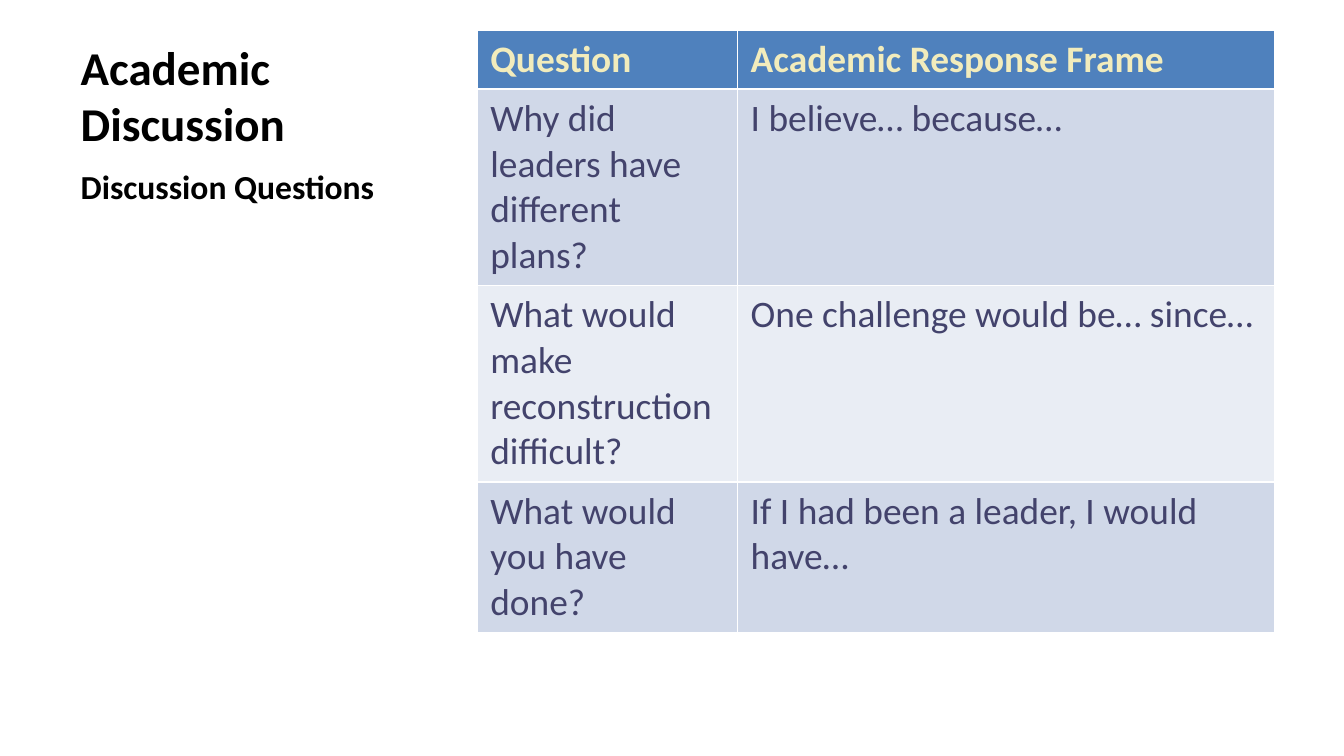
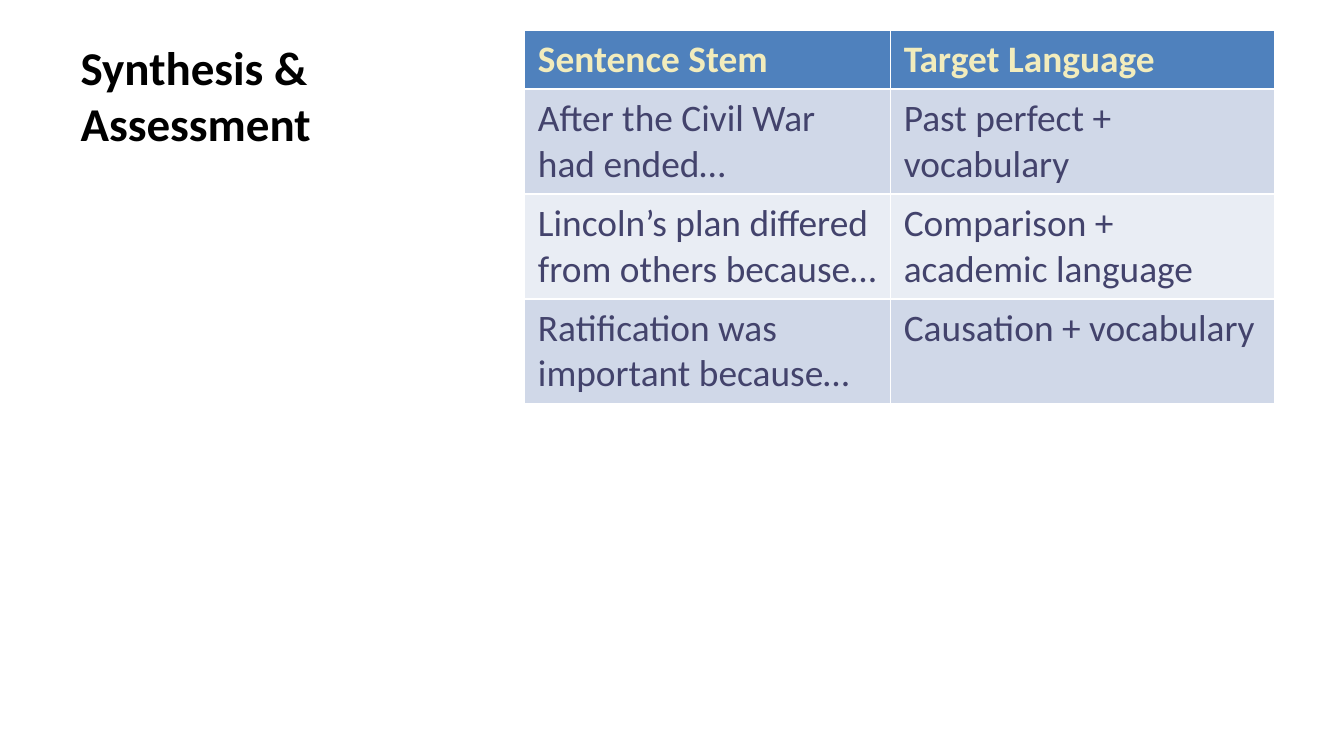
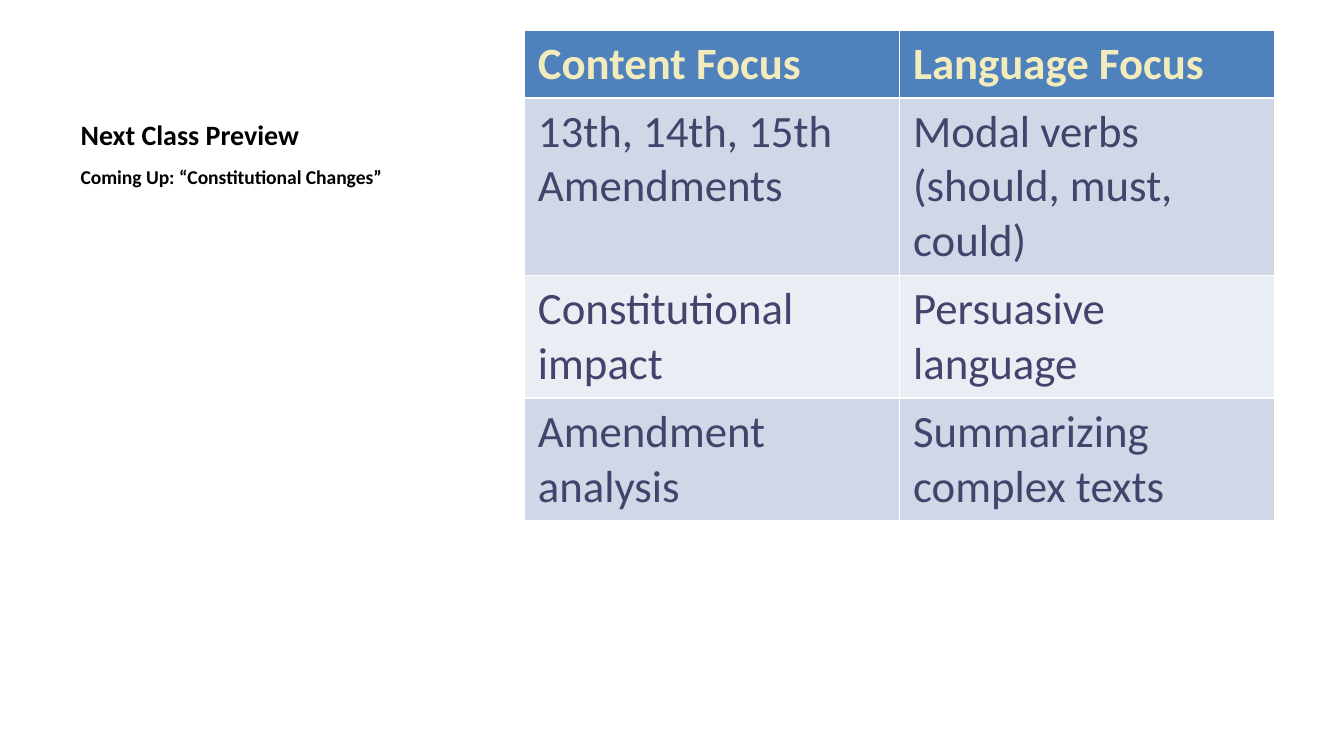
from lxml import etree
from pptx import Presentation
from pptx.dml.color import RGBColor
from pptx.enum import text
from pptx.oxml import ns
from pptx.util import Pt

# Shared style
FONT = "Calibri"
TITLE_COLOUR = "000000"
CELL_TEXT = "43436C"
HEADER_TEXT = "F2ECBC"
HEADER_FILL = "4F81BD"
BAND_FILLS = ["E9EDF4", "D0D8E8"]
BORDER = "FFFFFF"
LEFT, TOP = 36, 16
TABLE_RIGHT = 683
LINE_SPACING = 1.22
CELL_MARGINS = 7.2


def style_text(text_frame, size, colour, bold):
    for paragraph in text_frame.paragraphs:
        paragraph.space_before = Pt(0)
        for run in paragraph.runs:
            run.font.name = FONT
            run.font.size = Pt(size)
            run.font.bold = bold
            run.font.color.rgb = RGBColor.from_string(colour)


def add_borders(cell, colour):
    properties = cell._tc.get_or_add_tcPr()
    for position, side in enumerate(("a:lnL", "a:lnR", "a:lnT", "a:lnB")):
        line = etree.Element(ns.qn(side), w=str(Pt(1)))
        fill = etree.SubElement(line, ns.qn("a:solidFill"))
        etree.SubElement(fill, ns.qn("a:srgbClr"), val=colour)
        properties.insert(position, line)


# Content: "lines" is the number of text lines in each table row
lessons = [
    {"title": "Academic Discussion", "title_size": 25.2, "title_width": 188,
     "body": "Discussion Questions", "body_size": 18,
     "columns": [139.5, 288], "size": 20, "lines": [1, 4, 4, 3],
     "rows": [("Question", "Academic Response Frame"),
              ("Why did leaders have different plans?", "I believe… because…"),
              ("What would make reconstruction difficult?", "One challenge would be… since…"),
              ("What would you have done?", "If I had been a leader, I would have…")]},
    {"title": "Synthesis & Assessment", "title_size": 25.2, "title_width": 237,
     "body": None, "body_size": None,
     "columns": [196, 206], "size": 20, "lines": [1, 2, 2, 2],
     "rows": [("Sentence Stem", "Target Language"),
              ("After the Civil War had ended…", "Past perfect + vocabulary"),
              ("Lincoln’s plan differed from others because…", "Comparison + academic language"),
              ("Ratification was important because…", "Causation + vocabulary")]},
    {"title": "Next Class Preview", "title_size": 15, "title_width": 237,
     "body": "Coming Up: “Constitutional Changes”", "body_size": 10.5,
     "columns": [201, 201], "size": 24, "lines": [1, 3, 2, 2],
     "rows": [("Content Focus", "Language Focus"),
              ("13th, 14th, 15th Amendments", "Modal verbs (should, must, could)"),
              ("Constitutional impact", "Persuasive language"),
              ("Amendment analysis", "Summarizing complex texts")]},
]

presentation = Presentation()
presentation.slide_width, presentation.slide_height = Pt(720), Pt(405)
caption_layout = presentation.slide_layouts.get_by_name("Content with Caption")

for lesson in lessons:
    slide = presentation.slides.add_slide(caption_layout)
    title, content, body = slide.placeholders
    content.element.getparent().remove(content.element)

    # Title and caption
    captions = [
        (title, lesson["title"], lesson["title_size"], TOP, lesson["title_width"], 68.5,
         text.MSO_ANCHOR.BOTTOM),
        (body, lesson["body"], lesson["body_size"], 85, 237, 277, text.MSO_ANCHOR.TOP),
    ]
    for shape, wording, size, top, width, height, anchor in captions:
        if wording is None:
            shape.element.getparent().remove(shape.element)
            continue
        shape.left, shape.top = Pt(LEFT), Pt(top)
        shape.width, shape.height = Pt(width), Pt(height)
        shape.text_frame.text = wording
        shape.text_frame.auto_size = text.MSO_AUTO_SIZE.NONE
        shape.text_frame.vertical_anchor = anchor
        style_text(shape.text_frame, size, TITLE_COLOUR, True)

    # Table, aligned to the right margin
    heights = [lines * lesson["size"] * LINE_SPACING + CELL_MARGINS for lines in lesson["lines"]]
    table_width = sum(lesson["columns"])
    table = slide.shapes.add_table(
        len(heights), len(lesson["columns"]), Pt(TABLE_RIGHT - table_width), Pt(TOP),
        Pt(table_width), Pt(sum(heights))).table
    for column, width in zip(table.columns, lesson["columns"]):
        column.width = Pt(width)
    for row_index, wordings in enumerate(lesson["rows"]):
        is_header = row_index == 0
        table.rows[row_index].height = Pt(heights[row_index])
        for column_index, wording in enumerate(wordings):
            cell = table.cell(row_index, column_index)
            cell.text_frame.text = wording
            style_text(cell.text_frame, lesson["size"],
                       HEADER_TEXT if is_header else CELL_TEXT, is_header)
            cell.fill.solid()
            cell.fill.fore_color.rgb = RGBColor.from_string(
                HEADER_FILL if is_header else BAND_FILLS[row_index % 2])
            add_borders(cell, BORDER)

presentation.save("out.pptx")
